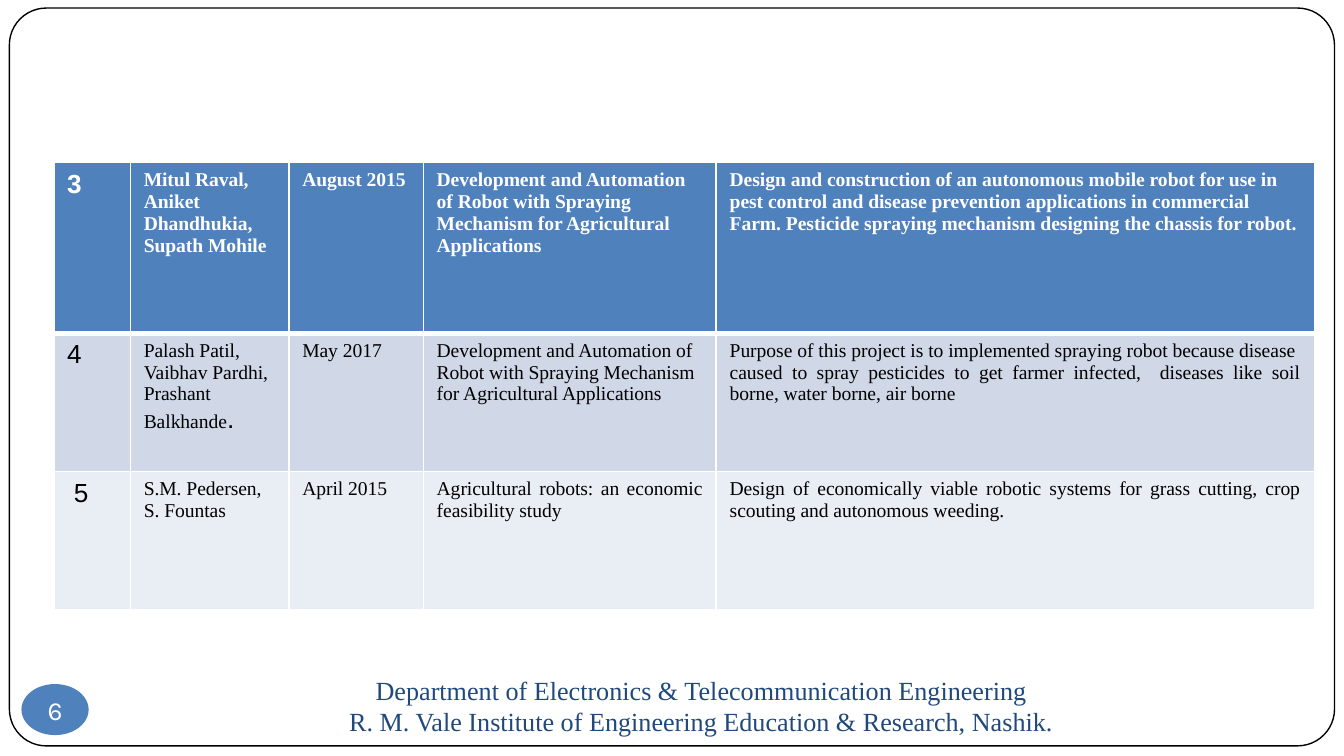
from dataclasses import dataclass

from lxml import etree
from pptx import Presentation
from pptx.dml.color import RGBColor
from pptx.enum import shapes, text
from pptx.oxml.ns import qn
from pptx.util import Inches, Pt

LEFT, CENTER, JUSTIFY = text.PP_ALIGN.LEFT, text.PP_ALIGN.CENTER, text.PP_ALIGN.JUSTIFY


@dataclass(frozen=True)
class Theme:
    white: str = "FFFFFF"
    black: str = "000000"
    blue: str = "4F81BD"
    navy: str = "1F497D"
    band_dark: str = "D0D8E8"
    band_light: str = "E9EDF4"
    serif: str = "Times New Roman"
    sans: str = "Arial"
    badge_font: str = "Karla"
    large: float = 14
    body: float = 10.5


@dataclass(frozen=True)
class Entry:
    """One cell; tail is a larger sans-serif ending of its last paragraph."""
    lines: tuple[str, ...]
    align: text.PP_ALIGN = LEFT
    tail: str = ""
    indent: float = 0.1


@dataclass(frozen=True)
class Paper:
    number: Entry
    authors: Entry
    date: Entry
    title: Entry
    summary: Entry
    fill: str
    color: str
    height: float
    bottom_rule: float = 1
    bold: bool = False

    def entries(self) -> tuple[Entry, ...]:
        return self.number, self.authors, self.date, self.title, self.summary


THEME = Theme()
SLIDE_WIDTH = Inches(10)
SLIDE_HEIGHT = SLIDE_WIDTH * 9 // 16
COLUMN_WIDTHS = (0.57, 1.18, 1, 2.18, 4.45)
SPRAYING_TITLE = ("Development and Automation of Robot with Spraying Mechanism "
                  "for Agricultural Applications")
PAPERS = (
    Paper(
        Entry(("3",)),
        Entry(("Mitul Raval,", "Aniket Dhandhukia, Supath Mohile")),
        Entry(("August 2015",), JUSTIFY),
        Entry((SPRAYING_TITLE,)),
        Entry(("Design and construction of an autonomous mobile robot for use in pest "
               "control and disease prevention applications in commercial Farm. "
               "Pesticide spraying mechanism designing the chassis for robot.",)),
        THEME.blue, THEME.white, 1.27, bottom_rule=3, bold=True),
    Paper(
        Entry(("4",)),
        Entry(("Palash Patil,", "Vaibhav Pardhi,", "Prashant Balkhande"), tail="."),
        Entry(("May 2017",)),
        Entry((SPRAYING_TITLE,)),
        Entry(("Purpose of this project is to implemented spraying robot because disease  "
               "caused to spray pesticides to get farmer infected,  diseases like soil "
               "borne, water borne, air borne",), JUSTIFY),
        THEME.band_dark, THEME.black, 1.03),
    Paper(
        Entry(("5",), indent=0.15),
        Entry(("S.M. Pedersen, S. Fountas",)),
        Entry(("April 2015",)),
        Entry(("Agricultural robots: an economic feasibility study",), JUSTIFY),
        Entry(("Design of economically viable robotic systems for grass cutting, crop "
               "scouting and autonomous weeding.",), JUSTIFY),
        THEME.band_light, THEME.black, 1.03),
)
FOOTER = ("Department of Electronics & Telecommunication Engineering",
          "R. M. Vale Institute of Engineering Education & Research, Nashik.")


def style_font(font, name: str, size: float, color: str, bold: bool = False) -> None:
    font.name, font.size, font.bold = name, Pt(size), bold
    font.color.rgb = RGBColor.from_string(color)


def write_lines(tf, lines: tuple[str, ...], align: text.PP_ALIGN,
                name: str, size: float, color: str, bold: bool = False):
    """Fill a text frame, one paragraph a line, and return the last paragraph."""
    for i, line in enumerate(lines):
        p = tf.add_paragraph() if i else tf.paragraphs[0]
        p.alignment = align
        p.add_run().text = line
        style_font(p.font, name, size, color, bold)
    return p


def add_panel(slide, kind: shapes.MSO_SHAPE, x: float, y: float,
              w: float, h: float, fill: str):
    sp = slide.shapes.add_shape(kind, Inches(x), Inches(y), Inches(w), Inches(h))
    sp.shadow.inherit = False
    sp.fill.solid()
    sp.fill.fore_color.rgb = RGBColor.from_string(fill)
    return sp


def add_frame(slide) -> None:
    sp = add_panel(slide, shapes.MSO_SHAPE.ROUNDED_RECTANGLE, 0.07, 0.06, 9.86, 5.49, THEME.white)
    sp.adjustments[0] = 0.05
    sp.line.color.rgb = RGBColor.from_string(THEME.black)
    sp.line.width = Pt(0.75)


def add_footer(slide) -> None:
    tf = slide.shapes.add_textbox(Inches(1), Inches(5.06), Inches(8.44), Inches(0.38)).text_frame
    tf.word_wrap = True
    tf.vertical_anchor = text.MSO_ANCHOR.MIDDLE
    write_lines(tf, FOOTER, CENTER, THEME.serif, THEME.large, THEME.navy)


def add_page_badge(slide) -> None:
    sp = add_panel(slide, shapes.MSO_SHAPE.OVAL, 0.16, 5.09, 0.5, 0.38, THEME.blue)
    sp.line.fill.background()
    tf = sp.text_frame
    tf.margin_left = tf.margin_right = tf.margin_top = tf.margin_bottom = 0
    tf.vertical_anchor = text.MSO_ANCHOR.MIDDLE
    write_lines(tf, ("6",), CENTER, THEME.badge_font, THEME.large, THEME.white)


def set_borders(cell, top: float, bottom: float) -> None:
    tc_pr = cell._tc.get_or_add_tcPr()
    for side, width in (("L", 1), ("R", 1), ("T", top), ("B", bottom)):
        ln = etree.SubElement(tc_pr, qn(f"a:ln{side}"), w=str(Pt(width)))
        fill = etree.SubElement(ln, qn("a:solidFill"))
        etree.SubElement(fill, qn("a:srgbClr"), val=THEME.white)


def fill_cell(cell, entry: Entry, paper: Paper, top_rule: float) -> None:
    set_borders(cell, top_rule, paper.bottom_rule)
    cell.fill.solid()
    cell.fill.fore_color.rgb = RGBColor.from_string(paper.fill)
    cell.margin_left = Inches(entry.indent)
    is_number = entry is paper.number
    name, size = (THEME.sans, THEME.large) if is_number else (THEME.serif, THEME.body)
    p = write_lines(cell.text_frame, entry.lines, entry.align, name, size,
                    paper.color, paper.bold)
    if entry.tail:
        r = p.add_run()
        r.text = entry.tail
        style_font(r.font, THEME.sans, THEME.large, paper.color)


def add_paper_table(slide) -> None:
    table = slide.shapes.add_table(
        len(PAPERS), len(COLUMN_WIDTHS), Inches(0.4), Inches(1.21),
        Inches(sum(COLUMN_WIDTHS)), Inches(sum(p.height for p in PAPERS))).table
    for column, width in zip(table.columns, COLUMN_WIDTHS):
        column.width = Inches(width)
    top_rule = 1
    for row, paper in zip(table.rows, PAPERS):
        row.height = Inches(paper.height)
        for cell, entry in zip(row.cells, paper.entries()):
            fill_cell(cell, entry, paper, top_rule)
        top_rule = paper.bottom_rule


def main() -> None:
    prs = Presentation()
    prs.slide_width, prs.slide_height = SLIDE_WIDTH, SLIDE_HEIGHT
    slide = prs.slides.add_slide(prs.slide_layouts[6])
    add_frame(slide)
    add_footer(slide)
    add_page_badge(slide)
    add_paper_table(slide)
    prs.save("out.pptx")


if __name__ == "__main__":
    main()
